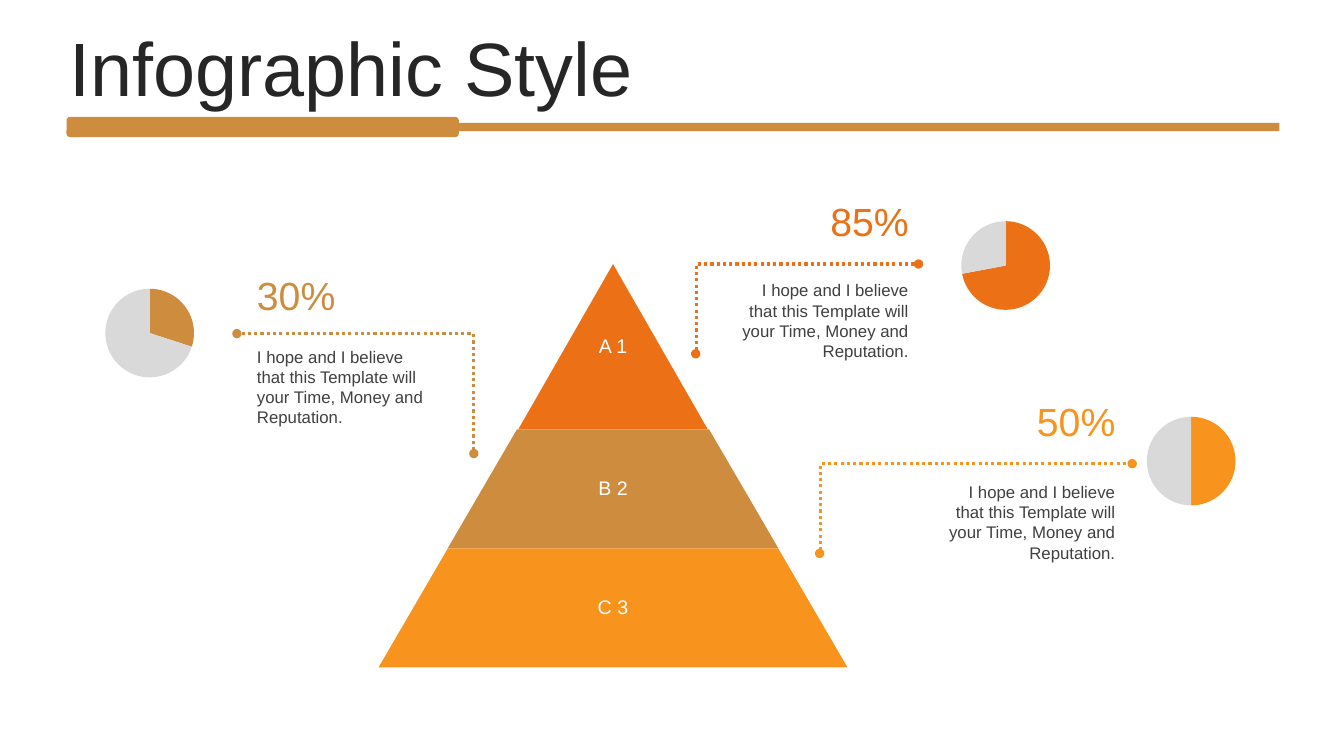
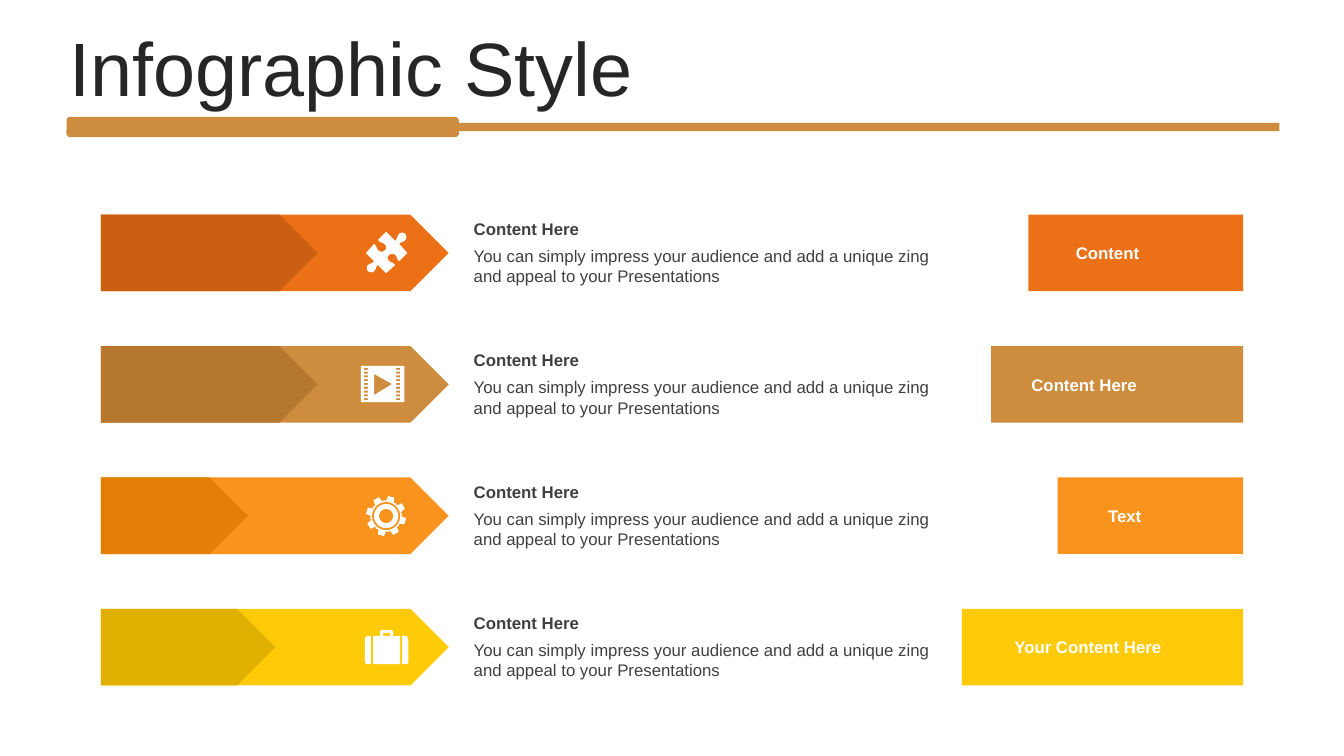
"""Builds two infographic slides: a labelled pyramid and a set of arrow rows."""
from math import cos, radians, sin

from lxml.etree import SubElement
from pptx import Presentation
from pptx.chart.data import CategoryChartData
from pptx.dml.color import RGBColor
from pptx.enum.chart import XL_CHART_TYPE as ChartType
from pptx.enum.dml import MSO_LINE as Dash
from pptx.enum.shapes import MSO_CONNECTOR as Link, MSO_SHAPE as Preset
from pptx.enum.text import MSO_ANCHOR as Anchor, MSO_AUTO_SIZE as Fit, PP_ALIGN as Align
from pptx.oxml.ns import qn
from pptx.util import Inches, Pt

COLORS = {
    "orange": "EC7016", "bronze": "CE8D3E", "amber": "F8931D", "yellow": "FFCA08",
    "dark orange": "CB5F11", "dark bronze": "B6782E", "dark amber": "E47E07",
    "dark yellow": "E0B000", "gray": "D9D9D9", "ink": "262626", "text": "404040",
    "white": "FFFFFF", "black": "000000",
}
FONT = "Arial"
PROMISE = "I hope and I believe that this Template will your Time, Money and Reputation."
PITCH = "You can simply impress your audience and add a unique zing and appeal to your Presentations"


def color(name):
    return RGBColor.from_string(COLORS[name])


def inches(values):
    return [Inches(value) for value in values]


class Deck:
    def __init__(self):
        self.deck = Presentation()
        self.deck.slide_width, self.deck.slide_height = Inches(13.33), Inches(7.5)
        self.page = None

    def add_page(self, title):
        self.page = self.deck.slides.add_slide(self.deck.slide_layouts[5])
        self.shape(Preset.RECTANGLE, (2.89, 1.22, 9.8, 0.08), "bronze")
        self.shape(Preset.ROUNDED_RECTANGLE, (0.66, 1.16, 3.89, 0.2), "bronze")
        box = self.page.shapes.title
        box.left, box.top, box.width, box.height = inches((0.59, 0.32, 12.17, 0.79))
        self.fill_frame(box.text_frame, title, 54, "ink", anchor=Anchor.MIDDLE, spacing=0.9)

    def fill_frame(self, frame, words, size, ink, bold=False, align=Align.LEFT,
                   anchor=Anchor.TOP, spacing=None):
        frame.word_wrap = True
        frame.auto_size = Fit.NONE
        frame.vertical_anchor = anchor
        para = frame.paragraphs[0]
        para.text = words
        para.alignment = align
        para.line_spacing = spacing
        font = para.font
        font.name, font.size, font.bold = FONT, Pt(size), bold
        font.color.rgb = color(ink)

    def text(self, place, words, size, ink, **style):
        box = self.page.shapes.add_textbox(*inches(place))
        self.fill_frame(box.text_frame, words, size, ink, **style)

    def paint(self, shape, fill):
        shape.shadow.inherit = False
        shape.fill.solid()
        shape.fill.fore_color.rgb = color(fill)
        shape.line.fill.background()

    def shape(self, preset, place, fill):
        shape = self.page.shapes.add_shape(preset, *inches(place))
        self.paint(shape, fill)
        return shape

    def tier(self, place, fill, label):
        self.shape(Preset.TRAPEZOID, place, fill).adjustments[0] = 0.582
        self.text(place, label, 14, "white", align=Align.CENTER, anchor=Anchor.MIDDLE,
                  spacing=0.9)

    def button(self, place, fill, label, indent):
        frame = self.shape(Preset.RECTANGLE, place, fill).text_frame
        frame.margin_left = Inches(indent)
        self.fill_frame(frame, label, 12, "white", bold=True, anchor=Anchor.MIDDLE)

    def elbow(self, start, end, ink):
        connector = self.page.shapes.add_connector(Link.ELBOW, *inches(start + end))
        connector.line.color.rgb = color(ink)
        connector.line.width = Pt(2.25)
        connector.line.dash_style = Dash.ROUND_DOT
        props = connector.element.spPr
        outline = props.find(qn("a:ln"))
        for tip in ("a:headEnd", "a:tailEnd"):
            SubElement(outline, qn(tip), type="oval")
        bends = props.find(qn("a:prstGeom")).find(qn("a:avLst"))
        SubElement(bends, qn("a:gd"), name="adj1", fmla="val 300")
        SubElement(props, qn("a:effectLst"))

    def pie(self, left, top, share, fill):
        width, height, diameter = 1.73, 1.15, 0.88
        data = CategoryChartData()
        data.categories = ["1", "2"]
        data.add_series("Series 1", (share, 100 - share))
        frame = self.page.shapes.add_chart(
            ChartType.PIE, *inches((left, top, width, height)), data)
        chart = frame.chart
        chart.has_title = chart.has_legend = False
        chart.font.name, chart.font.size = FONT, Pt(18)
        chart.font.color.rgb = color("black")
        plot = chart.plots[0]
        plot.vary_by_categories = True
        for index, name in enumerate((fill, "gray")):
            slice_format = plot.series[0].points[index].format
            slice_format.fill.solid()
            slice_format.fill.fore_color.rgb = color(name)
            slice_format.line.fill.background()
        area = chart.element.find(".//" + qn("c:plotArea"))
        for old in area.findall(qn("c:layout")):
            area.remove(old)
        layout = SubElement(area, qn("c:layout"))
        area.insert(0, layout)
        manual = SubElement(layout, qn("c:manualLayout"))
        wide, high = diameter / width, diameter / height
        settings = {"layoutTarget": "inner", "xMode": "edge", "yMode": "edge",
                    "x": (1 - wide) / 2, "y": (1 - high) / 2, "w": wide, "h": high}
        for tag, value in settings.items():
            SubElement(manual, qn("c:" + tag), val=str(value))

    def callout(self, left, tops, share, fill, align):
        number_top, body_top = tops
        self.text((left, number_top, 1.89, 0.57), share, 28, fill, align=align,
                  anchor=Anchor.MIDDLE)
        self.text((left, body_top, 1.89, 0.91), PROMISE, 12, "text", align=align)

    def icon(self, contours):
        builder = None
        for contour in contours:
            first, *rest = [inches(point) for point in contour]
            if builder is None:
                builder = self.page.shapes.build_freeform(*first, scale=1.0)
            else:
                builder.move_to(*first)
            builder.add_line_segments(rest, close=True)
        self.paint(builder.convert_to_shape(), "white")


def trace(start, *steps):
    points = [start]
    for step in steps:
        if len(step) == 2:
            points.append(step)
            continue
        corners = (points[-1], step[:2], step[2:4], step[4:])
        for part in range(1, 9):
            t = part / 8
            weights = ((1 - t) ** 3, 3 * t * (1 - t) ** 2, 3 * t * t * (1 - t), t ** 3)
            points.append(tuple(sum(weight * corner[axis] for weight, corner
                                    in zip(weights, corners)) for axis in (0, 1)))
    return points


def rectangle(left, top, right, bottom):
    return [(left, top), (right, top), (right, bottom), (left, bottom)]


def puzzle():
    return [trace(
        (4.02, 2.32), (4.03, 2.34, 4.04, 2.36, 4.02, 2.38),
        (4, 2.41, 3.98, 2.39, 3.96, 2.42), (4.04, 2.51), (3.96, 2.59),
        (3.93, 2.57, 3.94, 2.54, 3.92, 2.53), (3.9, 2.51, 3.87, 2.52, 3.86, 2.53),
        (3.84, 2.54, 3.84, 2.57, 3.86, 2.59), (3.89, 2.61, 3.89, 2.6, 3.92, 2.63),
        (3.83, 2.71), (3.75, 2.63), (3.72, 2.65, 3.74, 2.66, 3.71, 2.69),
        (3.69, 2.71, 3.66, 2.7, 3.65, 2.69), (3.64, 2.68, 3.63, 2.65, 3.65, 2.63),
        (3.67, 2.61, 3.69, 2.62, 3.71, 2.59), (3.63, 2.51), (3.71, 2.42),
        (3.74, 2.44, 3.73, 2.47, 3.76, 2.49), (3.78, 2.5, 3.8, 2.5, 3.82, 2.48),
        (3.83, 2.47, 3.84, 2.44, 3.81, 2.42), (3.79, 2.4, 3.78, 2.42, 3.75, 2.38),
        (3.83, 2.3), (3.92, 2.39), (3.95, 2.36, 3.93, 2.35, 3.96, 2.32),
        (3.98, 2.3, 4.01, 2.31, 4.02, 2.32))]


def film():
    holes = [rectangle(left, 3.65 + row * 0.3 / 8, left + 0.04, 3.67 + row * 0.3 / 8)
             for left in (3.61, 3.93) for row in range(9)]
    return [rectangle(3.58, 3.63, 4.01, 3.99), [(3.71, 3.71), (3.71, 3.92), (3.89, 3.81)], *holes]


def gear():
    def polar(radius, angle):
        return 3.83 + radius * cos(radians(angle)), 5.12 + radius * sin(radians(angle))

    tooth = ((0.15, -15), (0.2, -9), (0.2, 9), (0.15, 15), (0.16, 22.5))
    rim = [polar(radius, turn + angle) for turn in range(15, 375, 45) for radius, angle in tooth]
    rings = [[polar(radius, angle) for angle in range(0, 360, 10)]
             for radius in (0.14, 0.12, 0.07)]
    return [rim, *rings]


def suitcase():
    return [
        trace((3.99, 6.31), (4.02, 6.31), (4.04, 6.31, 4.05, 6.33, 4.05, 6.35), (4.05, 6.56),
              (4.05, 6.58, 4.04, 6.59, 4.02, 6.59), (3.99, 6.59)),
        trace((3.68, 6.31), (3.65, 6.31), (3.63, 6.31, 3.62, 6.33, 3.62, 6.35), (3.62, 6.56),
              (3.62, 6.58, 3.63, 6.59, 3.65, 6.59), (3.68, 6.59)),
        trace((3.79, 6.25), (3.88, 6.25), (3.89, 6.25, 3.9, 6.26, 3.9, 6.27), (3.9, 6.31),
              (3.97, 6.31), (3.97, 6.59), (3.7, 6.59), (3.7, 6.31), (3.77, 6.31),
              (3.77, 6.27), (3.77, 6.26, 3.78, 6.25, 3.79, 6.25)),
        rectangle(3.8, 6.28, 3.87, 6.31),
    ]


def pyramid_page(deck):
    deck.add_page("Infographic Style")
    tiers = ((2.62, 1.88, 1.64, "orange", "A 1"), (4.26, 3.28, 1.18, "bronze", "B 2"),
             (5.44, 4.65, 1.18, "amber", "C 3"))
    for top, width, height, fill, label in tiers:
        deck.tier((6.08 - width / 2, top, width, height), fill, label)
    callouts = (
        ("orange", "85%", 7.22, (1.91, 2.73), Align.RIGHT, (6.9, 3.51), (9.11, 2.62), (9.11, 2.06, 72)),
        ("amber", "50%", 9.27, (3.89, 4.73), Align.RIGHT, (8.13, 5.49), (11.23, 4.6), (10.95, 4, 50)),
        ("bronze", "30%", 2.45, (2.64, 3.39), Align.LEFT, (4.7, 4.5), (2.35, 3.31), (0.62, 2.73, 30)),
    )
    for fill, share, left, tops, align, start, end, pie in callouts:
        deck.pie(*pie, fill)
        deck.elbow(start, end, fill)
        deck.callout(left, tops, share, fill, align)


def arrows_page(deck):
    deck.add_page("Infographic Style")
    rows = (("orange", 2.15, 2.13, "Content", 0.47, puzzle),
            ("bronze", 2.15, 2.5, "Content Here", 0.4, film),
            ("amber", 1.46, 1.84, "Text", 0.5, gear),
            ("yellow", 1.73, 2.79, "Your Content Here", 0.52, suitcase))
    height, right = 0.76, 12.33
    for index, (fill, inner, width, label, indent, icon) in enumerate(rows):
        top = 2.13 + index * 3.91 / 3
        deck.shape(Preset.PENTAGON, (1, top, 3.45, height), fill)
        deck.shape(Preset.PENTAGON, (1, top, inner, height), "dark " + fill)
        deck.icon(icon())
        deck.text((4.6, top - 0.01, 4.95, 0.3), "Content Here", 12, "text", bold=True,
                  anchor=Anchor.MIDDLE)
        deck.text((4.6, top + 0.26, 4.95, 0.5), PITCH, 12, "text")
        deck.button((right - width, top, width, height), fill, label, indent)


def main():
    deck = Deck()
    pyramid_page(deck)
    arrows_page(deck)
    deck.deck.save("out.pptx")


if __name__ == "__main__":
    main()
